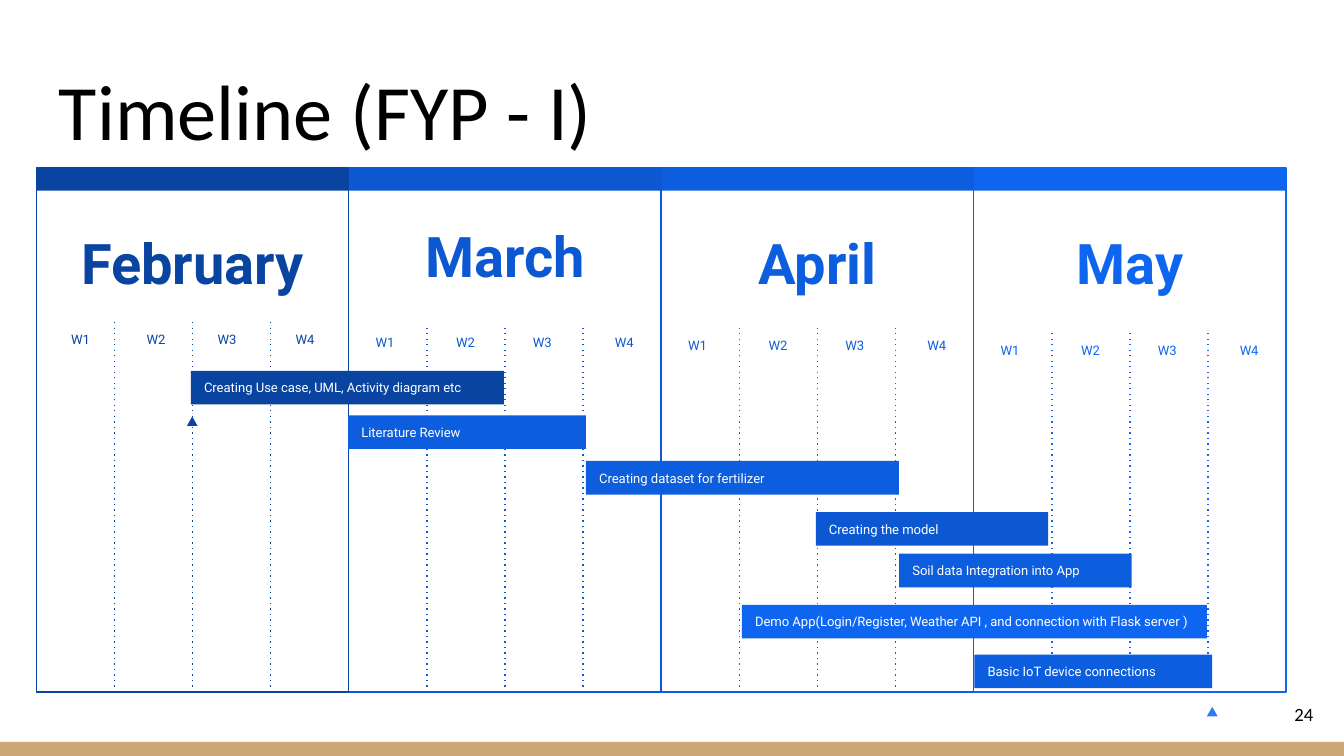
from pptx import Presentation
from pptx.dml.color import RGBColor
from pptx.enum.shapes import MSO_CONNECTOR, MSO_SHAPE
from pptx.enum.text import MSO_ANCHOR as ANCHOR, PP_ALIGN as ALIGN
from pptx.oxml.ns import qn
from pptx.util import Inches, Pt
from lxml import etree

NAVY, COBALT, BLUE, AZURE = "0944A1", "0C58D3", "0D5DDF", "0E65F0"
CHART_LEFT, CHART_TOP, CHART_WIDTH, CHART_HEIGHT = 0.27, 1.25, 9.3, 3.9
WEEK_STARTS = (0.07, 0.67, 1.24, 1.85)

# name, colour, title box (inset, top), weeks (top, width, height), week offsets
MONTHS = [
    ("February", NAVY, (0, 1.42), (2.39, 0.38, 0.27), (0.14, 0.7, 1.23, 1.81)),
    ("March", COBALT, (0.16, 1.37), (2.43, 0.4, 0.24), WEEK_STARTS),
    ("April", BLUE, (0, 1.42), (2.44, 0.4, 0.26), WEEK_STARTS),
    ("May", AZURE, (0, 1.42), (2.48, 0.4, 0.26), WEEK_STARTS),
]

TASKS = [
    ("Creating Use case, UML, Activity diagram etc", 1.42, 2.76, 2.33, NAVY),
    ("Literature Review", 2.59, 3.09, 1.77, BLUE),
    ("Creating dataset for fertilizer", 4.36, 3.43, 2.33, BLUE),
    ("Creating the model", 6.07, 3.81, 1.73, COBALT),
    ("Soil data Integration into App", 6.69, 4.12, 1.73, BLUE),
    ("Demo App(Login/Register, Weather API , and connection with Flask server )",
     5.52, 4.5, 3.46, AZURE),
    ("Basic IoT device connections", 7.25, 4.87, 1.77, BLUE),
]


def rgb(value):
    """Turn a hex string into a colour."""
    return RGBColor.from_string(value)


def write(shape, text, size, color, font="Roboto", bold=False, align=ALIGN.LEFT,
          anchor=ANCHOR.MIDDLE):
    """Fill a shape with one formatted paragraph."""
    frame = shape.text_frame
    frame.word_wrap = True
    frame.vertical_anchor = anchor
    frame.margin_left = frame.margin_right = Inches(0.1)
    frame.margin_top = frame.margin_bottom = Inches(0.1)
    para = frame.paragraphs[0]
    para.alignment = align
    span = para.add_run()
    span.text = text
    span.font.size = Pt(size)
    span.font.name = font
    span.font.bold = bold
    span.font.color.rgb = rgb(color)


def add_text(parent, box, text, size, color, **style):
    """Add a text box to a slide or group."""
    write(parent.shapes.add_textbox(*map(Inches, box)), text, size, color, **style)


def add_block(parent, box, fill=None, line=None, kind=MSO_SHAPE.RECTANGLE):
    """Add a flat shape with an optional fill and outline."""
    shape = parent.shapes.add_shape(kind, *map(Inches, box))
    shape.shadow.inherit = False
    if fill:
        shape.fill.solid()
        shape.fill.fore_color.rgb = rgb(fill)
    else:
        shape.fill.background()
    if line:
        shape.line.color.rgb = rgb(line)
        shape.line.width = Pt(0.75)
    else:
        shape.line.fill.background()
    return shape


def add_week_line(parent, x, bottom, top, color):
    """Add a dotted vertical divider."""
    divider = parent.shapes.add_connector(
        MSO_CONNECTOR.STRAIGHT, *map(Inches, (x, bottom, x, top)))
    divider.line.color.rgb = rgb(color)
    divider.line.width = Pt(0.75)
    properties = divider._element.spPr
    etree.SubElement(properties.find(qn("a:ln")), qn("a:prstDash"), val="dot")
    etree.SubElement(properties, qn("a:effectLst"))


def add_month(page, box, name, color, title, weeks, week_starts):
    """Draw one grouped month column with its header band and weeks."""
    left, top, width, height = box
    group = page.shapes.add_group_shape()
    add_block(group, box, line=color)
    add_block(group, (left, top, width, 0.17), fill=color)
    inset, title_top = title
    add_text(group, (left + inset, title_top, width - 2 * inset, 1.06), name, 30, color,
             bold=True, align=ALIGN.CENTER)
    week_top, week_width, week_height = weeks
    for number, start in enumerate(week_starts, 1):
        add_text(group, (left + start, week_top, week_width, week_height),
                 f"W{number}", 7, color, align=ALIGN.CENTER)
    for number in range(1, 4):
        add_week_line(group, left + number * width / 4, top + height, week_top, color)


def add_tasks(page):
    """Draw the task bars and the two milestone markers."""
    for text, left, top, width, color in TASKS:
        bar = add_block(page, (left, top, width, 0.25), fill=color)
        write(bar, text, 7, "FFFFFF")
    for left, top, color in ((1.39, 3.1, NAVY), (8.98, 5.26, "307BF3")):
        add_block(page, (left, top, 0.08, 0.07), fill=color,
                  kind=MSO_SHAPE.ISOSCELES_TRIANGLE)


def build_timeline(page):
    """Place every part of the timeline slide."""
    add_block(page, (0, 5.52, 10, 0.11), fill="CCA677")
    add_text(page, (0.34, 0.35, 9.32, 0.91), "Timeline (FYP - I)", 42, "000000",
             font="Calibri", anchor=ANCHOR.BOTTOM)
    month_width = CHART_WIDTH / len(MONTHS)
    for index, month in reversed(list(enumerate(MONTHS))):
        left = CHART_LEFT + index * month_width
        add_month(page, (left, CHART_TOP, month_width, CHART_HEIGHT), *month)
    add_tasks(page)
    add_text(page, (9.27, 5.1, 0.6, 0.43), "24", 10, "000000", font="Calibri",
             align=ALIGN.RIGHT)


def main():
    """Build and save the deck."""
    deck = Presentation()
    deck.slide_width = Inches(10)
    deck.slide_height = deck.slide_width * 9 // 16
    build_timeline(deck.slides.add_slide(deck.slide_layouts[6]))
    deck.save("out.pptx")


if __name__ == "__main__":
    main()
